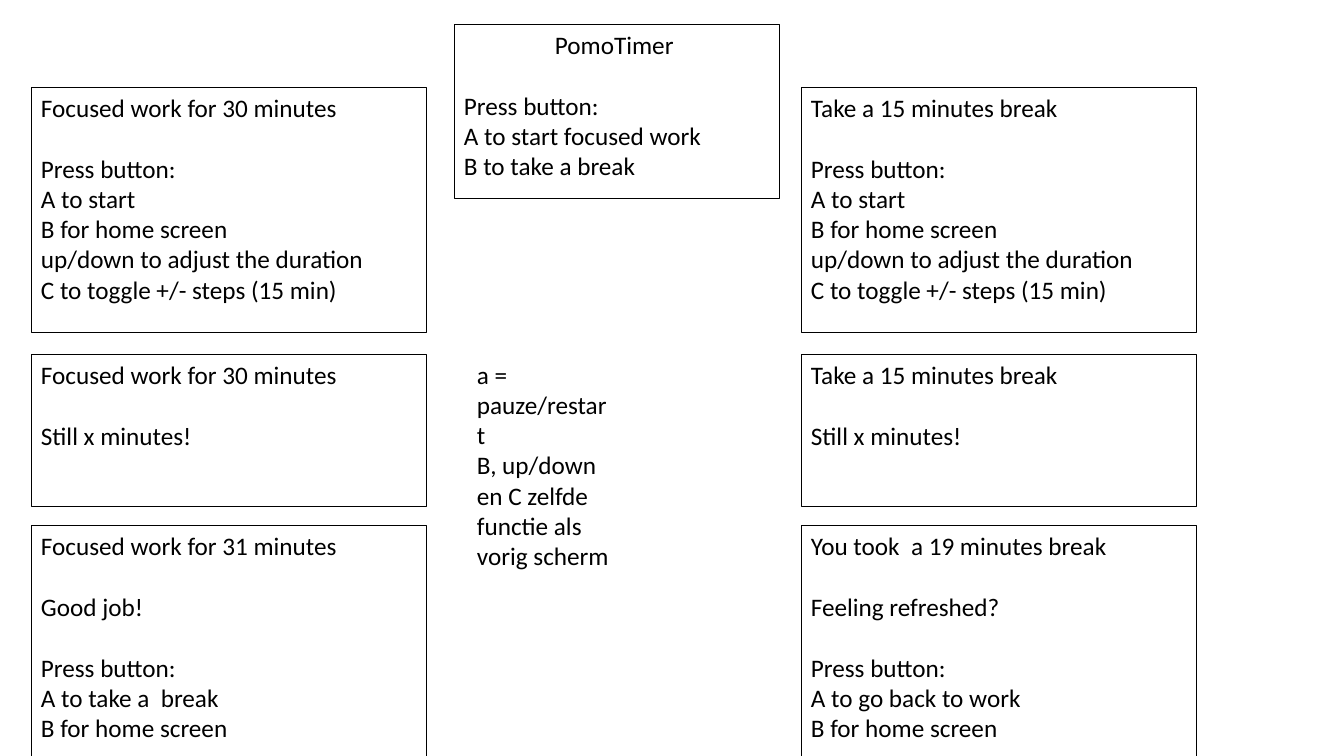
"""Build the screen-flow slide of a focus timer."""
from pptx import Presentation
from pptx.dml.color import RGBColor
from pptx.enum.shapes import MSO_SHAPE as SHAPE
from pptx.enum.text import MSO_ANCHOR as ANCHOR
from pptx.util import Emu, Pt

SLIDE_W, SLIDE_H = 1344, 756
FONT, SIZE, GAP = "Calibri", 18, 22
BLACK = "000000"
TITLE_INDENT = 91

SETUP = [
    "Press button:",
    "A to start",
    "B for home screen",
    "up/down to adjust the duration",
    "C to toggle +/- steps (15 min)",
]
HOME = [
    ["PomoTimer"],
    ["Press button:", "A to start focused work", "B to take a break"],
]
NOTE = [["a = pauze/restart", "B, up/down en C zelfde functie als vorig scherm"]]
WORK = [
    [["Focused work for 30 minutes"], SETUP],
    [["Focused work for 30 minutes"], ["Still x minutes!"]],
    [["Focused work for 31 minutes"], ["Good job!"],
     ["Press button:", "A to take a  break", "B for home screen"]],
]
BREAK = [
    [["Take a 15 minutes break"], SETUP],
    [["Take a 15 minutes break"], ["Still x minutes!"]],
    [["You took  a 19 minutes break"], ["Feeling refreshed?"],
     ["Press button:", "A to go back to work", "B for home screen"]],
]
COLUMNS = [(31, WORK), (801, BREAK)]
COLUMN_W = 395
ROWS = [(87, 245), (354, 152), (525, 231)]
HOME_BOX = (454, 24, 325, 174)
NOTE_BOX = (467, 354, 158, 222)


def px(n):
    """Turn slide pixels into EMU."""
    return Emu(round(n * 914400 / 100.8))


def color(value):
    """Turn a hex string into a colour."""
    return RGBColor.from_string(value)


def write(s, groups):
    """Write groups of lines, with a line-high gap between groups."""
    tf = s.text_frame
    tf.word_wrap = True
    tf.vertical_anchor = ANCHOR.TOP
    lines = [(text, g > 0 and i == 0)
             for g, group in enumerate(groups) for i, text in enumerate(group)]
    for n, (text, spaced) in enumerate(lines):
        p = tf.add_paragraph() if n else tf.paragraphs[0]
        p.alignment = 1
        if spaced:
            p.space_before = Pt(GAP)
        r = p.add_run()
        r.text = text
        r.font.name, r.font.size = FONT, Pt(SIZE)
        r.font.color.rgb = color(BLACK)
    return tf


def add_screen(slide, box, groups):
    """Add one outlined screen with its text."""
    s = slide.shapes.add_shape(SHAPE.RECTANGLE, *map(px, box))
    s.shadow.inherit = False
    s.fill.background()
    s.line.color.rgb = color(BLACK)
    s.line.width = Pt(0.5)
    return write(s, groups)


def main():
    """Build and save the slide."""
    prs = Presentation()
    prs.slide_width, prs.slide_height = px(SLIDE_W), px(SLIDE_H)
    slide = prs.slides.add_slide(prs.slide_layouts[6])

    tf = add_screen(slide, HOME_BOX, HOME)
    tf.paragraphs[0]._p.get_or_add_pPr().set("marL", str(px(TITLE_INDENT)))
    for left, screens in COLUMNS:
        for (top, height), groups in zip(ROWS, screens):
            add_screen(slide, (left, top, COLUMN_W, height), groups)
    write(slide.shapes.add_textbox(*map(px, NOTE_BOX)), NOTE)

    prs.save("out.pptx")


if __name__ == "__main__":
    main()
